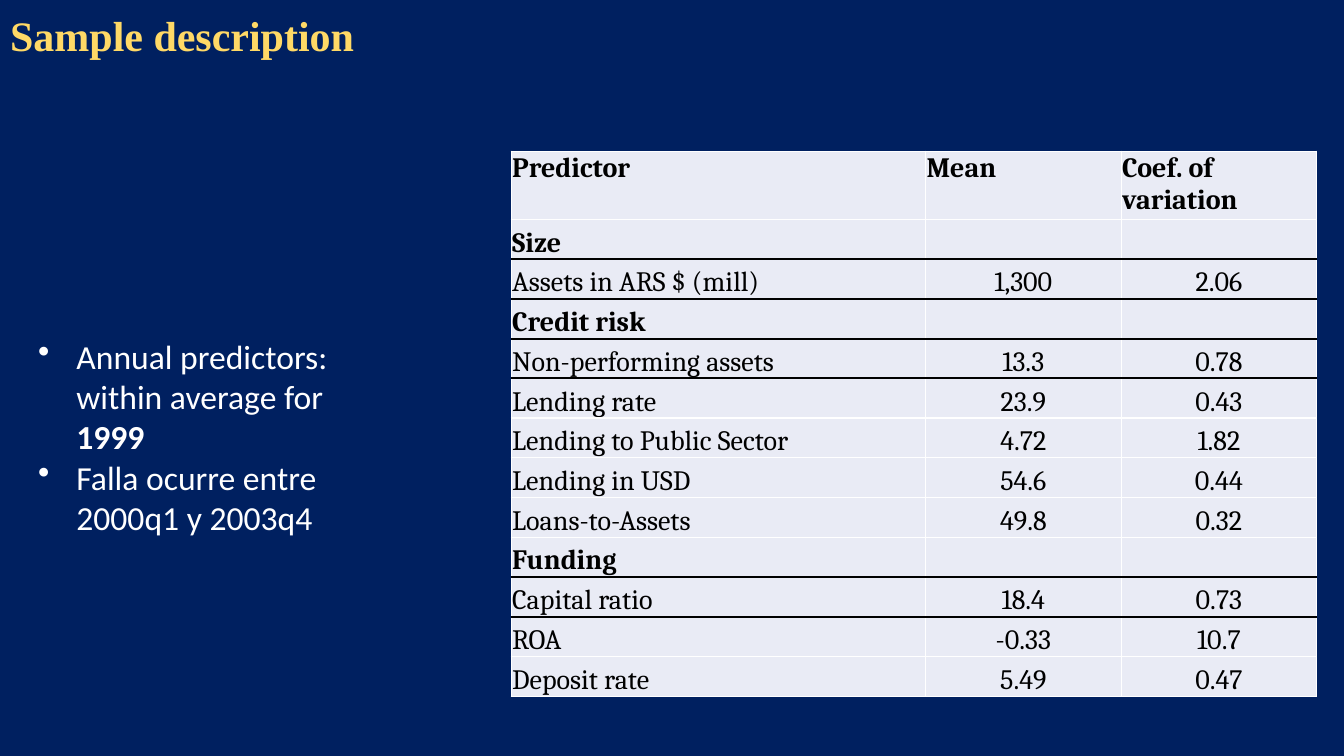
import pptx
import pptx.util
import pptx.dml.color
import pptx.enum.text
import pptx.oxml
from lxml import etree

Inches, Pt = pptx.util.Inches, pptx.util.Pt
RGB = pptx.dml.color.RGBColor
ALIGN = pptx.enum.text.PP_ALIGN
ANCHOR = pptx.enum.text.MSO_ANCHOR

NAVY = RGB(0x00, 0x20, 0x60)
GOLD = RGB(0xFF, 0xD9, 0x66)
WHITE = RGB(0xFF, 0xFF, 0xFF)
BLACK = RGB(0x00, 0x00, 0x00)
PALE = RGB(0xE9, 0xEB, 0xF5)

HEAD = ("Predictor", "Mean", "Coef. of variation")
GROUPS = {
    "Size": [("Assets in ARS $ (mill)", "1,300", "2.06")],
    "Credit risk": [
        ("Non-performing assets", "13.3", "0.78"),
        ("Lending rate", "23.9", "0.43"),
        ("Lending to Public Sector", "4.72", "1.82"),
        ("Lending in USD", "54.6", "0.44"),
        ("Loans-to-Assets", "49.8", "0.32"),
    ],
    "Funding": [
        ("Capital ratio", "18.4", "0.73"),
        ("ROA", "-0.33", "10.7"),
        ("Deposit rate", "5.49", "0.47"),
    ],
}
NOTES = [
    [("Annual predictors: within average for ", False), ("1999", True)],
    [("Falla ocurre entre 2000q1 y 2003q4", False)],
]


class Deck:
    def __init__(self):
        self.prs = pptx.Presentation()
        self.prs.slide_width = Inches(13.33)
        self.prs.slide_height = Inches(7.5)
        self.slide = self.prs.slides.add_slide(self.prs.slide_layouts[5])
        fill = self.slide.background.fill
        fill.solid()
        fill.fore_color.rgb = NAVY

    def style(self, para, face, size, color, bold=None):
        font = para.font
        font.name, font.size, font.bold = face, Pt(size), bold
        font.color.rgb = color

    def title(self, text, left, top, width, height):
        shape = self.slide.shapes.title
        shape.left, shape.top = Inches(left), Inches(top)
        shape.width, shape.height = Inches(width), Inches(height)
        frame = shape.text_frame
        frame.text = text
        frame.word_wrap = False
        frame.vertical_anchor = ANCHOR.TOP
        para = frame.paragraphs[0]
        para.alignment = ALIGN.LEFT
        self.style(para, "Times New Roman", 30, GOLD, True)

    def bullets(self, items, left, top, width, height):
        box = self.slide.shapes.add_textbox(
            Inches(left), Inches(top), Inches(width), Inches(height))
        frame = box.text_frame
        frame.word_wrap = True
        for i, runs in enumerate(items):
            para = frame.add_paragraph() if i else frame.paragraphs[0]
            for text, bold in runs:
                run = para.add_run()
                run.text = text
                run.font.bold = bold
            self.style(para, "Calibri", 24, WHITE)
            props = para._p.get_or_add_pPr()
            props.set("marL", str(Inches(0.38)))
            props.set("indent", str(-Inches(0.38)))
            mark = etree.Element(pptx.oxml.ns.qn("a:buChar"), char="•")
            props.insert(0, mark)

    def border(self, cell, side, color, width):
        qn = pptx.oxml.ns.qn
        line = etree.SubElement(
            cell._tc.get_or_add_tcPr(), qn("a:ln" + side), w=str(Pt(width)))
        fill = etree.SubElement(line, qn("a:solidFill"))
        etree.SubElement(fill, qn("a:srgbClr"), val=str(color))

    def cell(self, cell, text, bold, center, anchor, rules):
        """Fill one cell; rules tells whether its top and bottom are black."""
        cell.text = text
        cell.vertical_anchor = anchor
        cell.margin_left = cell.margin_right = cell.margin_top = Inches(0.01)
        cell.margin_bottom = 0
        para = cell.text_frame.paragraphs[0]
        para.alignment = ALIGN.CENTER if center else ALIGN.LEFT
        self.style(para, "Cambria", 20, BLACK, bold)
        for side, dark in zip("LRTB", (False, False) + rules):
            self.border(cell, side, *((BLACK, 1.5) if dark else (WHITE, 1)))
        cell.fill.solid()
        cell.fill.fore_color.rgb = PALE

    def table(self, head, groups, left, top, widths, height, first):
        rows, ruled = [head], set()
        for name, body in groups.items():
            ruled |= {len(rows), len(rows) + 1}
            rows += [(name, "", ""), *body]
        grid = self.slide.shapes.add_table(
            len(rows), len(head), Inches(left), Inches(top),
            Inches(sum(widths)), Inches(height)).table
        grid.first_row = grid.horz_banding = False
        for col, width in zip(grid.columns, widths):
            col.width = Inches(width)
        for r, row in enumerate(rows):
            rest = (height - first) / (len(rows) - 1)
            grid.rows[r].height = Inches(rest if r else first)
            bold = r == 0 or row[0] in groups
            anchor = ANCHOR.BOTTOM if r else ANCHOR.TOP
            rules = (r - 1 in ruled, r in ruled)
            for c, text in enumerate(row):
                self.cell(grid.cell(r, c), text, bold,
                          r > 0 and c > 0, anchor, rules)


def main():
    deck = Deck()
    deck.bullets(NOTES, 0.28, 3.28, 3.58, 2.12)
    deck.table(HEAD, GROUPS, 5.07, 1.5, (4.11, 1.94, 1.94), 5.4, 0.67)
    deck.title("Sample description", 0, 0.04, 3.65, 0.61)
    deck.prs.save("out.pptx")


if __name__ == "__main__":
    main()
